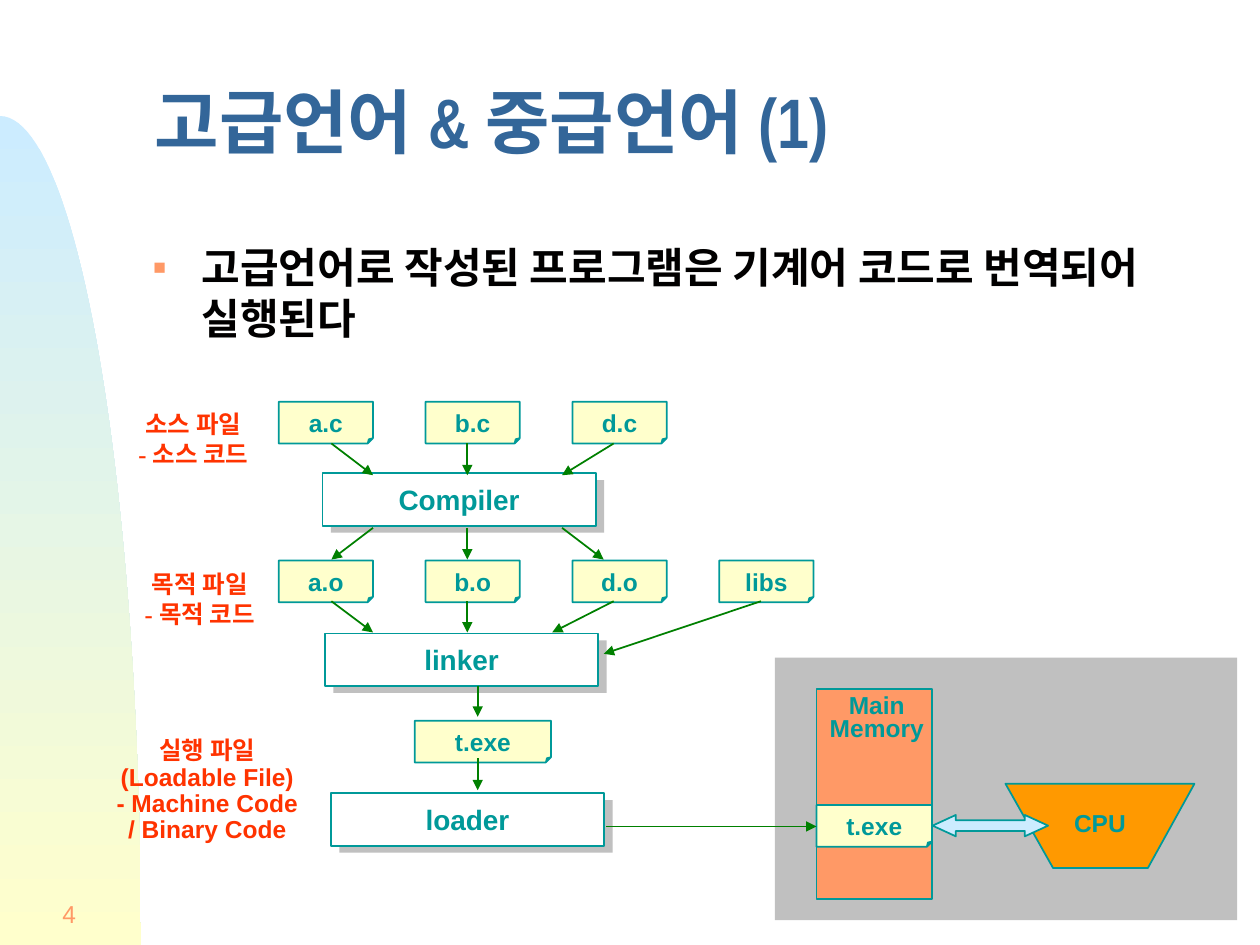
from math import cos, pi, sin
from lxml.etree import SubElement as Sub
from pptx import Presentation
from pptx.dml.color import RGBColor
from pptx.enum.shapes import MSO_CONNECTOR as Link, MSO_SHAPE as Kind
from pptx.enum.text import MSO_ANCHOR as Anchor, MSO_AUTO_SIZE as Fit, PP_ALIGN as Align
from pptx.oxml.ns import qn
from pptx.util import Cm, Pt

TEAL = RGBColor(0x00, 0x99, 0x99)
GREEN = RGBColor(0x00, 0x80, 0x00)
RED = RGBColor(0xFF, 0x33, 0x00)
BLUE = RGBColor(0x33, 0x66, 0x99)
INK = RGBColor(0x01, 0x00, 0x00)
WHITE = RGBColor(0xFF, 0xFF, 0xFF)
GRAY = RGBColor(0xC0, 0xC0, 0xC0)
CREAM = RGBColor(0xFF, 0xFF, 0xCC)
SKY = RGBColor(0xCC, 0xEC, 0xFF)
PEACH = RGBColor(0xFF, 0x99, 0x66)
ORANGE = RGBColor(0xFF, 0x99, 0x00)

TITLE = "고급언어 & 중급언어 (1)"
POINT = "고급언어로 작성된 프로그램은 기계어 코드로 번역되어 실행된다"
NUMBER = "4"

LEFT, STEP, FILE_W, FILE_H = 5.62, 2.96, 1.9, 0.84
ROWS = [(8.1, ["a.c", "b.c", "d.c"]), (11.3, ["a.o", "b.o", "d.o", "libs"])]
STAGES = [("Compiler", 6.5, 9.54), ("linker", 6.55, 12.77), ("loader", 6.67, 15.99)]
STAGE_W, STAGE_H = 5.51, 1.06
EXES = [(8.36, 14.53, 2.75), (16.46, 16.23, 2.33)]
CPU = [(20.27, 15.8), (21.23, 17.5), (23.14, 17.5), (24.08, 15.8)]

LABELS = [
    (["소스 파일", "- 소스 코드"], (2.31, 8.13, 3.18, 1.45), 1),
    (["목적 파일", "- 목적 코드"], (2.44, 11.35, 3.18, 1.45), 1),
    (["실행 파일", "(Loadable File)", "- Machine Code / Binary Code"],
     (2.06, 14.76, 4.24, 2.39), 0.9),
]

FLOWS = [
    (8.94, 9.58, [(6.68, 7.52), (9.42, 9.42), (12.37, 11.33)]),
    (10.64, 11.28, [(7.52, 6.68), (9.42, 9.42), (11.33, 12.17)]),
    (12.12, 12.75, [(6.68, 7.52), (9.42, 9.42), (12.37, 11.13)]),
    (12.12, 13.18, [(15.34, 12.17)]),
    (13.82, 14.45, [(9.63, 9.63)]),
    (15.29, 15.93, [(9.63, 9.63)]),
    (16.66, 16.66, [(12.22, 16.46)]),
]

deck = Presentation()
deck.slide_width, deck.slide_height = Cm(25.4), Cm(19.05)
slide = deck.slides.add_slide(deck.slide_layouts[1])
shapes = slide.shapes


def place(item, left, top, width, height):
    item.left, item.top = Cm(left), Cm(top)
    item.width, item.height = Cm(width), Cm(height)


def style(part, size, color, face="Arial", bold=True):
    for run in part.runs:
        font = run.font
        font.size, font.name, font.bold = Pt(size), face, bold
        font.color.rgb = color


def paint(item, fill, line=None):
    item.shadow.inherit = False
    item.fill.solid()
    item.fill.fore_color.rgb = fill
    if line is None:
        item.line.fill.background()
    else:
        item.line.color.rgb = line
        item.line.width = Pt(1)


def letter(item, text, size=14, anchor=Anchor.MIDDLE, space=1):
    frame = item.text_frame
    frame.margin_left = frame.margin_right = 0
    frame.margin_top = frame.margin_bottom = 0
    frame.word_wrap = True
    frame.vertical_anchor = anchor
    frame.text = text
    part = frame.paragraphs[0]
    part.alignment = Align.CENTER
    part.line_spacing = space
    style(part, size, TEAL)


def block(kind, box, fill, line=None):
    item = shapes.add_shape(kind, *map(Cm, box))
    paint(item, fill, line)
    return item


def sheet(text, left, top, width):
    item = block(Kind.FOLDED_CORNER, (left, top, width, FILE_H), CREAM, TEAL)
    for guides in item._element.iter(qn("a:avLst")):
        Sub(guides, qn("a:gd"), name="adj", fmla="val 12500")
    letter(item, text)
    item.text_frame.margin_top = Cm(0.1)


def outline(points):
    spots = [(Cm(x), Cm(y)) for x, y in points]
    pen = shapes.build_freeform(*spots[0])
    pen.add_line_segments(spots[1:], close=True)
    return pen.convert_to_shape()


def arrow(x1, y1, x2, y2):
    line = shapes.add_connector(Link.STRAIGHT, Cm(x1), Cm(y1), Cm(x2), Cm(y2))
    line.line.color.rgb = GREEN
    line.line.width = Pt(1)
    Sub(line.line._get_or_add_ln(), qn("a:tailEnd"), type="triangle")
    Sub(line._element.spPr, qn("a:effectLst"))


turns = [pi / 2 * i / 48 for i in range(49)]
curve = outline([(2.84 * sin(t), 19.05 - 16.71 * cos(t)) for t in turns] + [(0, 19.05)])
paint(curve, SKY)
curve.fill.gradient()
curve.fill.gradient_angle = 270
for stop, color, spot in zip(curve.fill.gradient_stops, (SKY, CREAM), (0, 1)):
    stop.color.rgb = color
    stop.position = spot
shapes._spTree.insert(2, curve._element)

title = shapes.title
place(title, 2.87, 1.3, 21.89, 2.67)
title.text_frame.text = TITLE
title.text_frame.auto_size = Fit.NONE
title.text_frame.vertical_anchor = Anchor.MIDDLE
head = title.text_frame.paragraphs[0]
head.alignment = Align.LEFT
head.line_spacing = 0.7
style(head, 40, BLUE, "Arial Narrow")

body = slide.placeholders[1]
place(body, 2.84, 4.75, 21.89, 12.4)
body.text_frame.text = POINT
body.text_frame.auto_size = Fit.NONE
item = body.text_frame.paragraphs[0]
props = item._p.get_or_add_pPr()
props.set("marL", str(Cm(0.97)))
props.set("indent", str(-Cm(0.97)))
Sub(Sub(props, qn("a:buClr")), qn("a:srgbClr"), val=str(PEACH))
Sub(props, qn("a:buSzPct"), val="50000")
Sub(props, qn("a:buFont"), typeface="Arial")
Sub(props, qn("a:buChar"), char="■")
item.space_before = Pt(0)
style(item, 24, INK)

page = shapes.add_textbox(Cm(0), Cm(17.78), Cm(1.78), Cm(1.27))
page.text_frame.text = NUMBER
page.text_frame.vertical_anchor = Anchor.MIDDLE
page.text_frame.word_wrap = True
page.text_frame.paragraphs[0].alignment = Align.RIGHT
style(page.text_frame.paragraphs[0], 14, PEACH, bold=False)

block(Kind.RECTANGLE, (15.62, 13.26, 9.32, 5.29), GRAY)
store = block(Kind.RECTANGLE, (16.46, 13.89, 2.33, 4.23), PEACH, TEAL)
letter(store, "Main\vMemory", anchor=Anchor.TOP, space=0.8)
store.text_frame.margin_top = Cm(0.13)
store.text_frame.margin_left = Cm(0.1)

chip = outline(CPU)
paint(chip, ORANGE, TEAL)
letter(chip, "CPU", space=0.8)

for top, names in ROWS:
    for col, name in enumerate(names):
        sheet(name, LEFT + col * STEP, top, FILE_W)
for left, top, width in EXES:
    sheet("t.exe", left, top, width)

for name, left, top in STAGES:
    block(Kind.RECTANGLE, (left + 0.17, top + 0.14, STAGE_W, STAGE_H), GRAY)
    letter(block(Kind.RECTANGLE, (left, top, STAGE_W, STAGE_H), WHITE, TEAL), name, 16)

for y1, y2, spans in FLOWS:
    for x1, x2 in spans:
        arrow(x1, y1, x2, y2)

bus = block(Kind.LEFT_RIGHT_ARROW, (18.8, 16.43, 2.33, 0.43), SKY, TEAL)
bus.adjustments[0], bus.adjustments[1] = 0.5, 1.09

for lines, box, space in LABELS:
    frame = shapes.add_textbox(*map(Cm, box)).text_frame
    frame.word_wrap = True
    frame.text = "\n".join(lines)
    for part in frame.paragraphs:
        part.alignment = Align.CENTER
        part.line_spacing = space
        style(part, 14, RED, "Arial" if part.text.isascii() else "Times New Roman")

deck.save("out.pptx")
